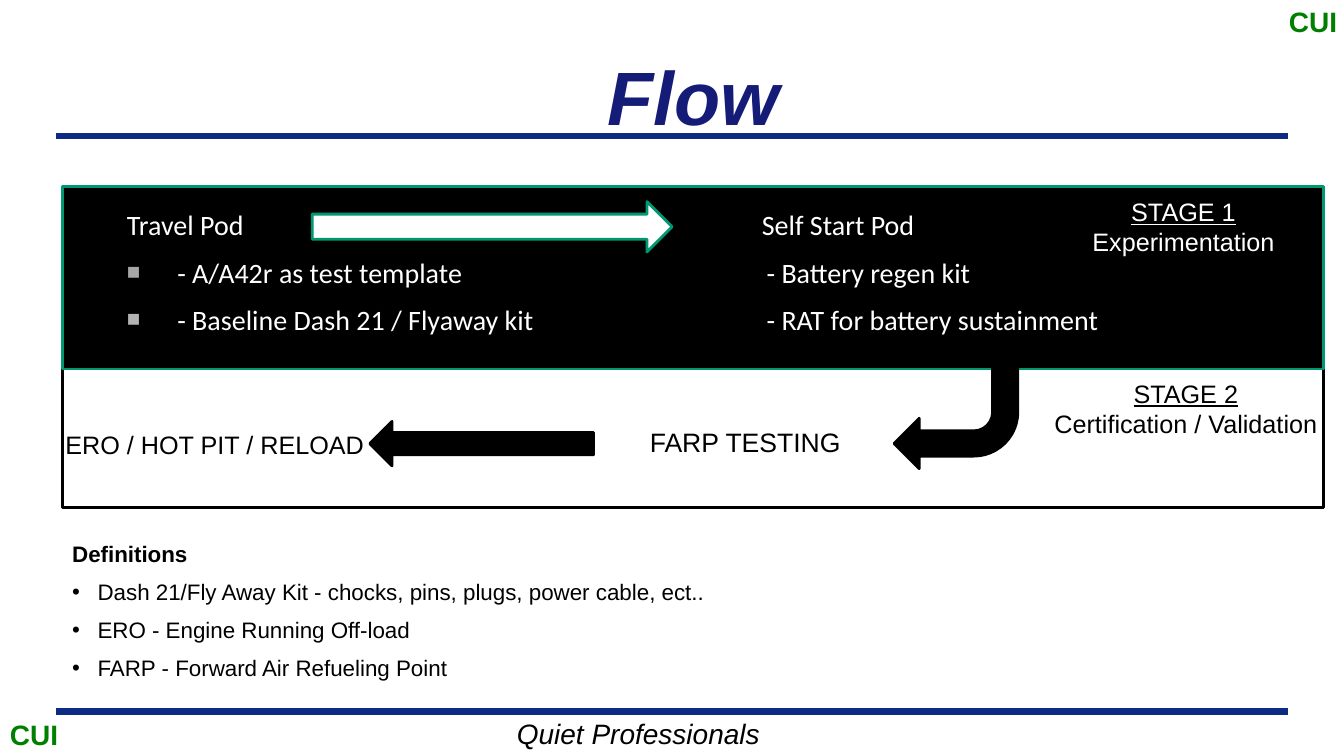
import pptx
import pptx.util
import pptx.dml.color
import pptx.enum.shapes
import pptx.enum.text
import pptx.oxml.ns
import lxml.etree

Cm, Pt = pptx.util.Cm, pptx.util.Pt
KIND = pptx.enum.shapes.MSO_SHAPE
SIDE = pptx.enum.text.PP_ALIGN
MID = pptx.enum.text.MSO_ANCHOR.MIDDLE

HUE = {"white": "FFFFFF", "black": "000000", "teal": "009771", "navy": "151C77",
       "rule": "0C2D83", "green": "008000", "gray": "A6A6A6", "pale": "B3B3B3"}

# Content: lengths in cm, boxes as left, top, width, height
RULES = [17.93, 3.43]
ENDS = (1.42, 32.46)

SHAPES = [  # kind, box, fill, line, turn
    (KIND.RECTANGLE, (1.57, 9.12, 31.78, 3.66), "white", "black", 0),
    (KIND.RECTANGLE, (1.57, 4.7, 31.78, 4.6), "black", "teal", 0),
    (KIND.RIGHT_ARROW, (7.87, 5.08, 9.07, 1.27), "white", "teal", 0),
    (KIND.BENT_ARROW, (22.53, 9.27, 3.12, 2.54), "black", "black", 180),
    (KIND.LEFT_ARROW, (9.32, 10.62, 5.64, 1.12), "black", "black", 0),
]

MARK = dict(size=20, hue="green", bold=True)
BODY = dict(face="Calibri", size=20, hue="white", before=9.8)
HEAD = dict(size=18, align=SIDE.CENTER)
NOTE = dict(size=16, before=10, line=0.9)
DOT = dict(NOTE, bullet="•", indent=0.64)
ITEM = dict(BODY, bullet="■", indent=1.27, ratio=80)

TEXTS = [  # box, lines of (text, style)
    ((0, 17.93, 32.18, 1.12),
     [("Quiet Professionals", dict(size=20, italic=True, align=SIDE.CENTER))]),
    ((0, 17.96, 8.2, 1.12), [("CUI", MARK)]),
    ((25.7, 0, 8, 1.12), [("CUI", dict(MARK, align=SIDE.RIGHT, margin=0))]),
    ((4.24, 0.81, 26.47, 3.18),
     [("Flow", dict(size=54, hue="navy", bold=True, italic=True,
                    align=SIDE.CENTER, anchor=MID))]),
    ((14.83, 10.62, 7.9, 1.07),
     [("FARP TESTING", dict(size=19, align=SIDE.CENTER))]),
    ((1.4, 10.69, 8.48, 1.07), [("ERO / HOT PIT / RELOAD", dict(size=18))]),
    ((26.24, 9.4, 7.29, 1.8),
     [("STAGE 2", dict(HEAD, under=True)), ("Certification / Validation", HEAD)]),
    ((26.83, 4.82, 5.99, 1.8),
     [("STAGE 1", dict(HEAD, hue="white", under=True)),
      ("Experimentation", dict(HEAD, hue="white"))]),
    ((1.57, 13.56, 25.78, 4.11),
     [("Definitions", dict(NOTE, bold=True)),
      ("Dash 21/Fly Away Kit - chocks, pins, plugs, power cable, ect..", DOT),
      ("ERO - Engine Running Off-load", DOT),
      ("FARP - Forward Air Refueling Point", DOT)]),
    ((2.95, 5.11, 15.5, 4),
     [("Travel Pod", BODY),
      ("- A/A42r as test template", dict(ITEM, tint="gray")),
      ("- Baseline Dash 21 / Flyaway kit", dict(ITEM, tint="pale"))]),
    ((18.95, 5.11, 14, 4),
     [("Self Start Pod", BODY),
      ("- Battery regen kit", dict(BODY, indent=0.12)),
      ("- RAT for battery sustainment", dict(BODY, indent=0.12))]),
]


def shade(name):
    return pptx.dml.color.RGBColor.from_string(HUE[name])


def node(root, tag, **attrs):
    return lxml.etree.SubElement(root, pptx.oxml.ns.qn(tag), attrs)


def inset(para, look):
    """Set the indent and bullet of a paragraph."""
    props = para._p.get_or_add_pPr()
    gap = int(Cm(look["indent"]))
    props.set("marL", str(gap))
    if "bullet" not in look:
        return
    props.set("indent", str(-gap))
    if "tint" in look:
        node(node(props, "a:buClr"), "a:srgbClr", val=HUE[look["tint"]])
    if "ratio" in look:
        node(props, "a:buSzPct", val=str(look["ratio"] * 1000))
    node(props, "a:buFont", typeface="Arial")
    node(props, "a:buChar", char=look["bullet"])


def write(para, text, look):
    para.text = text
    if "indent" in look:
        inset(para, look)
    para.alignment = look.get("align", SIDE.LEFT)
    if "before" in look:
        para.space_before = Pt(look["before"])
    if "line" in look:
        para.line_spacing = look["line"]
    font = para.font
    font.name = look.get("face", "Arial")
    font.size = Pt(look["size"])
    font.bold = look.get("bold", False)
    font.italic = look.get("italic", False)
    font.underline = look.get("under", False)
    font.color.rgb = shade(look.get("hue", "black"))


def main():
    deck = pptx.Presentation()
    deck.slide_width, deck.slide_height = Cm(33.87), Cm(19.05)
    items = deck.slides.add_slide(deck.slide_layouts[6]).shapes

    # Rules above and below the content
    for top in RULES:
        rule = items.add_connector(pptx.enum.shapes.MSO_CONNECTOR.STRAIGHT,
                                   Cm(ENDS[0]), Cm(top), Cm(ENDS[1]), Cm(top))
        rule.line.color.rgb = shade("rule")
        rule.line.width = Pt(4.5)
        node(rule._element.spPr, "a:effectLst")

    # Stage panels and flow arrows
    for kind, box, fill, edge, turn in SHAPES:
        shape = items.add_shape(kind, *map(Cm, box))
        shape.shadow.inherit = False
        shape.rotation = turn
        shape.fill.solid()
        shape.fill.fore_color.rgb = shade(fill)
        shape.line.color.rgb = shade(edge)
        shape.line.width = Pt(2)

    # Title, labels and lists
    for box, lines in TEXTS:
        frame = items.add_textbox(*map(Cm, box)).text_frame
        frame.word_wrap = True
        first = lines[0][1]
        if "margin" in first:
            frame.margin_right = Cm(first["margin"])
        if "anchor" in first:
            frame.vertical_anchor = first["anchor"]
        for i, (text, look) in enumerate(lines):
            para = frame.add_paragraph() if i else frame.paragraphs[0]
            write(para, text, look)

    deck.save("out.pptx")


if __name__ == "__main__":
    main()
